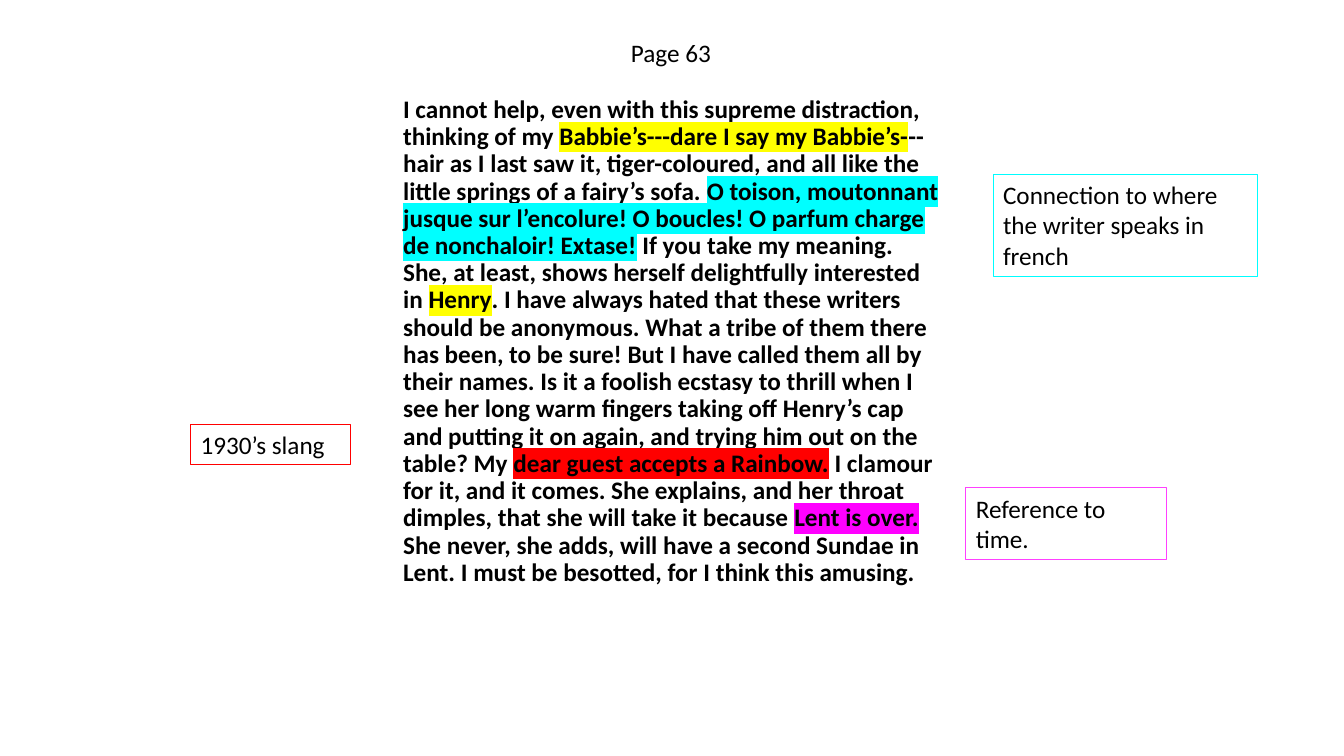
from lxml.etree import SubElement
from pptx import Presentation
from pptx.dml.color import RGBColor
from pptx.enum.shapes import MSO_SHAPE
from pptx.enum.text import MSO_ANCHOR, MSO_AUTO_SIZE, PP_ALIGN
from pptx.oxml.ns import qn
from pptx.util import Pt

PX = 9144  # 100 px to the inch
YELLOW, CYAN, RED, PINK = "FFFF00", "00FFFF", "FF0000", "FF00FF"

PASSAGE = [
    ("I cannot help, even with this supreme distraction, thinking of my ", None),
    ("Babbie’s---dare I say my Babbie’s-", YELLOW),
    ("--hair as I last saw it, tiger-coloured, and all like the little "
     "springs of a fairy’s sofa. ", None),
    ("O toison, moutonnant jusque sur l’encolure! O boucles! O parfum "
     "charge de nonchaloir! Extase!", CYAN),
    (" If you take my meaning. She, at least, shows herself delightfully "
     "interested in ", None),
    ("Henry", YELLOW),
    (". I have always hated that these writers should be anonymous. What a "
     "tribe of them there has been, to be sure! But I have called them all by "
     "their names. Is it a foolish ecstasy to thrill when I see her long warm "
     "fingers taking off Henry’s cap and putting it on again, and trying him "
     "out on the table? My ", None),
    ("dear guest accepts a Rainbow.", RED),
    (" I clamour for it, and it comes. She explains, and her throat dimples, "
     "that she will take it because ", None),
    ("Lent is over. ", PINK),
    ("She never, she adds, will have a second Sundae in Lent. I must be "
     "besotted, for I think this amusing.", None),
]

NOTES = [
    ("Connection to where the writer speaks in french", (985, 173, 262, 101), "00FDFF"),
    ("Reference to time.", (958, 484, 199, 71), "FF40FF"),
    ("1930’s slang", (189, 421, 159, 40), RED),
]


def color(code):
    return RGBColor.from_string(code)


def mark(run, code):
    """Highlight a run; the schema wants this right after the text fill."""
    props = run.font._element
    light = SubElement(props, qn("a:highlight"))
    SubElement(light, qn("a:srgbClr")).set("val", code)
    props.find(qn("a:solidFill")).addnext(light)


class Page:
    def __init__(self, slide, font="Calibri", size=18, ink="000000"):
        self.slide = slide
        self.font, self.size, self.ink = font, size, ink

    def put(self, frame, text, bold=False, wrap=True, lines=1.0, fit=True):
        """Fill a frame with a string or a list of (string, highlight) pairs."""
        frame.word_wrap = wrap
        frame.auto_size = MSO_AUTO_SIZE.SHAPE_TO_FIT_TEXT if fit else MSO_AUTO_SIZE.NONE
        frame.vertical_anchor = MSO_ANCHOR.TOP
        para = frame.paragraphs[0]
        para.alignment = PP_ALIGN.LEFT
        para.line_spacing = lines
        for part, light in [(text, None)] if isinstance(text, str) else text:
            run = para.add_run()
            run.text = part
            run.font.name, run.font.size = self.font, Pt(self.size)
            run.font.bold = bold
            run.font.color.rgb = color(self.ink)
            if light:
                mark(run, light)

    def text(self, text, box, **style):
        shape = self.slide.shapes.add_textbox(*(n * PX for n in box))
        self.put(shape.text_frame, text, **style)

    def note(self, text, box, edge):
        shape = self.slide.shapes.add_shape(MSO_SHAPE.RECTANGLE, *(n * PX for n in box))
        shape.shadow.inherit = False
        shape.fill.background()
        shape.line.color.rgb = color(edge)
        shape.line.width = Pt(0.75)
        self.put(shape.text_frame, text)


def main():
    deck = Presentation()
    deck.slide_width, deck.slide_height = 1333 * PX, 750 * PX
    page = Page(deck.slides.add_slide(deck.slide_layouts[6]))
    page.text(PASSAGE, (390, 91, 553, 567), bold=True, lines=0.9, fit=False)
    page.text("Page 63", (616, 32, 100, 40), wrap=False)
    for text, box, edge in NOTES:
        page.note(text, box, edge)
    deck.save("out.pptx")


if __name__ == "__main__":
    main()
